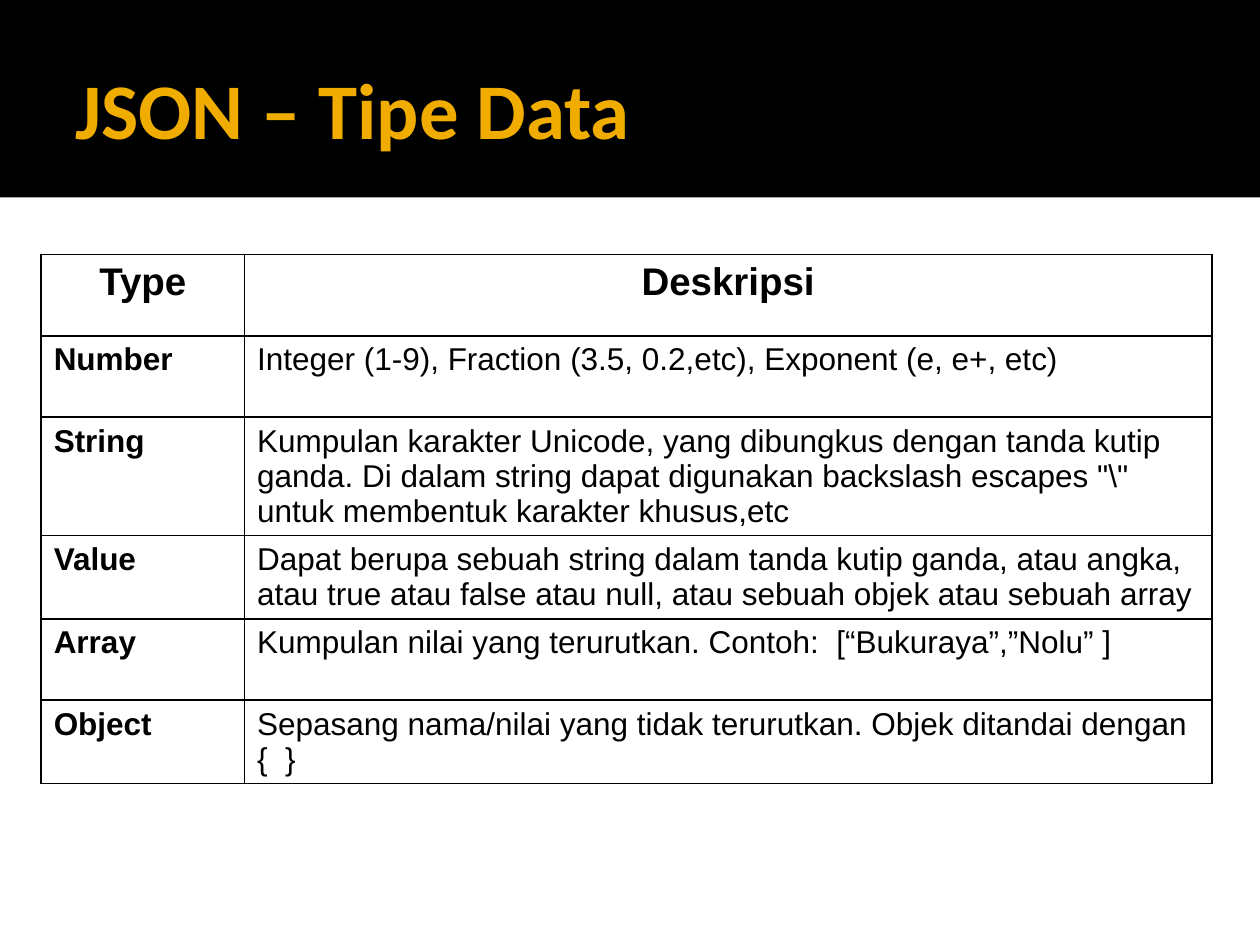
from dataclasses import dataclass

from lxml.etree import SubElement
from pptx import Presentation
from pptx.dml.color import RGBColor as Rgb
from pptx.enum.shapes import MSO_SHAPE as Shape
from pptx.enum.text import MSO_ANCHOR as Anchor, MSO_AUTO_SIZE as AutoSize, PP_ALIGN as Align
from pptx.oxml.ns import qn
from pptx.slide import Slide
from pptx.table import _Cell as Cell
from pptx.text.text import TextFrame
from pptx.util import Cm, Pt


@dataclass(frozen=True)
class Theme:
    black: str = "000000"
    white: str = "FFFFFF"
    gold: str = "F0AD00"
    title_font: str = "Calibri"
    body_font: str = "Arial"
    title_size: int = 45
    header_size: int = 22
    body_size: int = 18
    border_width: float = 1


@dataclass(frozen=True)
class DataType:
    name: str
    description: str


THEME = Theme()
TITLE = "JSON – Tipe Data"
HEADER = DataType("Type", "Deskripsi")
DATA_TYPES = [
    DataType("Number", "Integer (1-9), Fraction (3.5, 0.2,etc), Exponent (e, e+, etc)"),
    DataType("String", "Kumpulan karakter Unicode, yang dibungkus dengan tanda kutip ganda. "
             r'Di dalam string dapat digunakan backslash escapes "\" '
             "untuk membentuk karakter khusus,etc"),
    DataType("Value", "Dapat berupa sebuah string dalam tanda kutip ganda, atau angka, "
             "atau true atau false atau null, atau sebuah objek atau sebuah array"),
    DataType("Array", "Kumpulan nilai yang terurutkan. Contoh:  [“Bukuraya”,”Nolu” ]"),
    DataType("Object", "Sepasang nama/nilai yang tidak terurutkan. Objek ditandai dengan {  }"),
]
COLUMN_WIDTHS = [Cm(4.1), Cm(19.5)]
ROW_HEIGHT = Cm(1.64)


def write(frame: TextFrame, text: str, *, size: int = THEME.body_size,
          font: str = THEME.body_font, color: str = THEME.black,
          bold: bool = False, align: Align = Align.LEFT) -> None:
    paragraph = frame.paragraphs[0]
    paragraph.alignment = align
    run = paragraph.add_run()
    run.text = text
    run.font.size = Pt(size)
    run.font.name = font
    run.font.bold = bold
    run.font.color.rgb = Rgb.from_string(color)


def style_cell(cell: Cell) -> None:
    # Borders come before the fill in the cell properties
    properties = cell._tc.get_or_add_tcPr()
    for side in ("a:lnL", "a:lnR", "a:lnT", "a:lnB"):
        border = SubElement(properties, qn(side), w=str(Pt(THEME.border_width)))
        SubElement(SubElement(border, qn("a:solidFill")), qn("a:srgbClr"), val=THEME.black)
    cell.fill.solid()
    cell.fill.fore_color.rgb = Rgb.from_string(THEME.white)
    cell.vertical_anchor = Anchor.TOP


def add_title(slide: Slide, slide_width: int) -> None:
    # Black band, placed behind the title
    band = slide.shapes.add_shape(Shape.RECTANGLE, 0, 0, slide_width, Cm(3.98))
    band.shadow.inherit = False
    band.fill.solid()
    band.fill.fore_color.rgb = Rgb.from_string(THEME.black)
    band.line.fill.background()
    title = slide.shapes.title
    title._element.addprevious(band._element)

    title.left, title.top, title.width, title.height = Cm(1.27), Cm(0.43), Cm(22.86), Cm(3.48)
    frame = title.text_frame
    frame.auto_size = AutoSize.NONE
    frame.word_wrap = True
    frame.vertical_anchor = Anchor.MIDDLE
    frame.margin_left = Cm(0.25)
    frame.margin_right = frame.margin_top = frame.margin_bottom = Cm(0.13)
    write(frame, TITLE, size=THEME.title_size, font=THEME.title_font,
          color=THEME.gold, bold=True)


def add_type_table(slide: Slide) -> None:
    entries = [HEADER, *DATA_TYPES]
    table = slide.shapes.add_table(len(entries), len(COLUMN_WIDTHS), Cm(0.83), Cm(5.13),
                                   sum(COLUMN_WIDTHS), ROW_HEIGHT * len(entries)).table
    for column, width in zip(table.columns, COLUMN_WIDTHS):
        column.width = width
    for row, entry in zip(table.rows, entries):
        row.height = ROW_HEIGHT
        is_header = entry is HEADER
        size = THEME.header_size if is_header else THEME.body_size
        align = Align.CENTER if is_header else Align.LEFT
        name_cell, description_cell = row.cells
        write(name_cell.text_frame, entry.name, size=size, bold=True, align=align)
        write(description_cell.text_frame, entry.description,
              size=size, bold=is_header, align=align)
        for cell in row.cells:
            style_cell(cell)


def main() -> None:
    deck = Presentation()
    deck.slide_width, deck.slide_height = Cm(25.4), Cm(19.05)
    slide = deck.slides.add_slide(deck.slide_layouts.get_by_name("Title Only"))
    add_title(slide, deck.slide_width)
    add_type_table(slide)
    deck.save("out.pptx")


if __name__ == "__main__":
    main()
